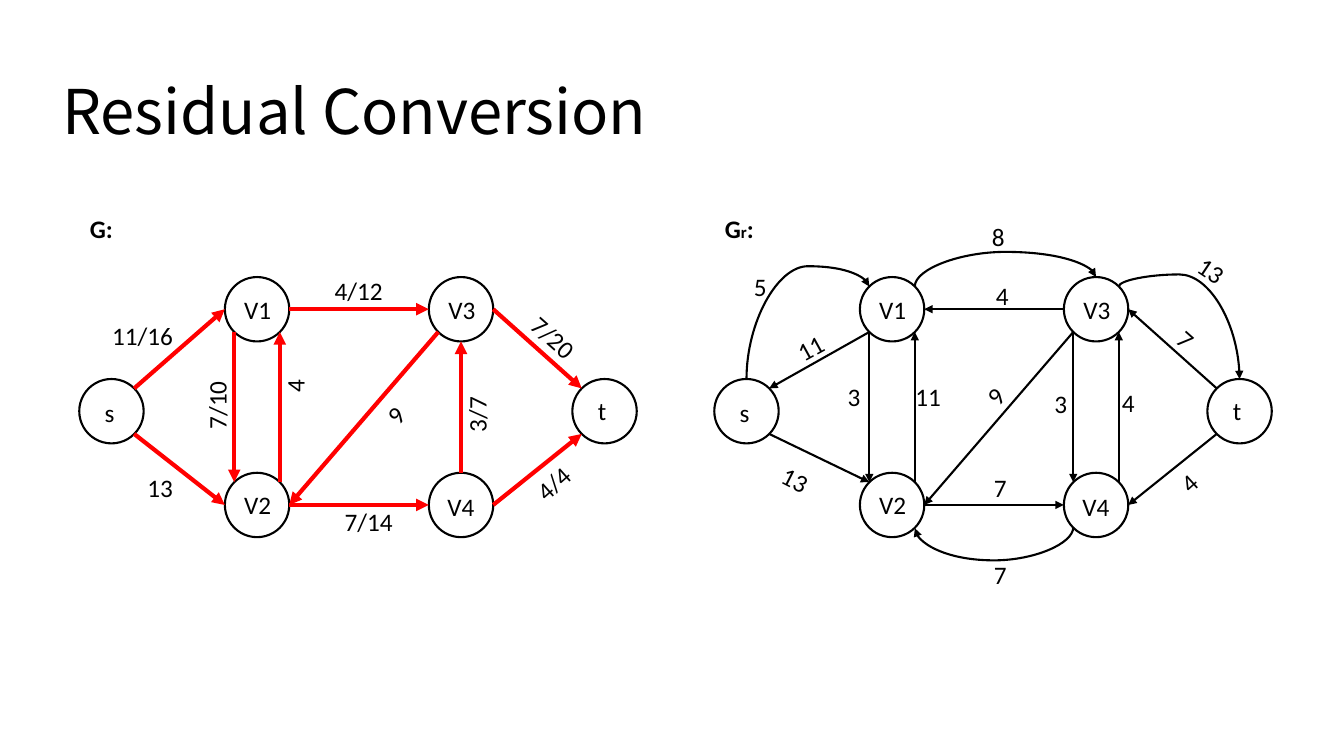
from math import sqrt
from lxml.etree import SubElement as Sub
from pptx import Presentation
from pptx.dml.color import RGBColor as RGB
from pptx.enum.shapes import MSO_CONNECTOR as Link, MSO_SHAPE as Kind
from pptx.enum.text import MSO_ANCHOR as Anchor, MSO_AUTO_SIZE as Fit
from pptx.oxml.ns import qn
from pptx.util import Pt

theme = {
    "ink": RGB(0, 0, 0), "flow": RGB(255, 0, 0),
    "head": "Noto Sans CJK SC", "body": "Calibri",
    "title": 44, "label": 18, "sub": 12,
    "thin": 1.5, "thick": 3,
}

deck = Presentation()
deck.slide_width, deck.slide_height = Pt(960), Pt(540)
slide = deck.slides.add_slide(deck.slide_layouts[6])
shapes = slide.shapes

side = 46
rad = side / 2
diag = rad / sqrt(2)
ports = {
    "n": (0, -rad), "s": (0, rad), "w": (-rad, 0), "e": (rad, 0),
    "nw": (-diag, -diag), "ne": (diag, -diag),
    "sw": (-diag, diag), "se": (diag, diag),
}
nodes = {
    "s": (79.6, 293.7, -1.2, 1.4),
    "V1": (183.6, 220.9, 0.5, 0),
    "V2": (183.6, 360.7, 0.5, 0),
    "V3": (329.3, 220.9, 0.8, 0),
    "V4": (329.3, 360.7, 0, 1.4),
    "t": (431.8, 293.7, -1.6, 0),
}
glyphs = {"/": 7, "V": 10.2, "s": 7, "t": 6, "G": 11.4, "r": 4.3, ":": 4.8}

flows = [
    ("s.ne", "V1.w", None, "11/16", 101.9, 239.8, 0),
    ("V1.e", "V3.w", None, "4/12", 256.3, 207.4, 0),
    ("V3.e", "t.nw", None, "7/20", 395.3, 241.2, 41.5),
    ("V1.sw", "V2.nw", None, "7/10", 154.8, 289.4, 270),
    ("V2.ne", "V1.se", None, "4", 210.6, 275.8, 270),
    ("V3.sw", "V2.e", None, "9", 282.6, 296.6, 311.6),
    ("s.se", "V2.w", None, "13", 114.5, 348.5, 0),
    ("V2.e", "V4.w", None, "7/14", 263.5, 373, 0),
    ("V4.n", "V3.s", None, "3/7", 340.6, 295.9, 270),
    ("V4.e", "t.sw", None, "4/4", 395.3, 344.9, 318.3),
]
rests = [
    ("s.n", "V1.nw", 190.2, "5", 89.6, 204.5, 0),
    ("V1.sw", "s.ne", None, "11", 125.3, 248.4, 331.1),
    ("V1.ne", "V3.n", 180, "8", 259.6, 169.2, 0),
    ("V3.w", "V1.e", None, "4", 262.4, 211, 0),
    ("V3.ne", "t.n", 196, "13", 411.8, 193, 33.8),
    ("t.nw", "V3.e", None, "7", 393.5, 242.6, 41.6),
    ("s.se", "V2.nw", None, "13", 114.5, 342.7, 26.8),
    ("V3.sw", "V2.e", None, "9", 257.4, 283, 310.8),
    ("V2.e", "V4.w", None, "7", 261, 348.5, 0),
    ("V4.sw", "V2.se", 401, "7", 261, 410.4, 0),
    ("t.sw", "V4.e", None, "4", 395.6, 344.9, 317.9),
    ("V3.sw", "V4.nw", None, "3", 304.2, 288, 0),
    ("V4.ne", "V3.se", None, "4", 352.4, 287.3, 0),
    ("V1.sw", "V2.nw", None, "3", 156.6, 283.7, 0),
    ("V2.ne", "V1.se", None, "11", 209.5, 283.7, 0),
]
graphs = [
    (0, [("G:", "label")], 72.4, flows, "flow", "thick"),
    (453.6, [("G", "label"), ("r", "sub"), (":", "label")], 74.5, rests, "ink", "thin"),
]


def write(x, y, runs, font="body", bold=False, turn=0, size=None):
    wide = 14.4 + sum(glyphs.get(c, 9.12) for text, _ in runs for c in text)
    w, h = size or (wide, 29.1)
    box = shapes.add_textbox(Pt(x - w / 2), Pt(y - h / 2), Pt(w), Pt(h))
    box.rotation = turn
    frame = box.text_frame
    frame.word_wrap = bool(size)
    frame.auto_size = Fit.NONE if size else Fit.SHAPE_TO_FIT_TEXT
    for text, step in runs:
        run = frame.paragraphs[0].add_run()
        run.text = text
        run.font.name = theme[font]
        run.font.size = Pt(theme[step])
        run.font.bold = bold
        run.font.color.rgb = theme["ink"]
    return frame


def spot(port, left):
    node, way = port.split(".")
    return left + nodes[node][0] + ports[way][0], nodes[node][1] + ports[way][1]


title = write(451.4, 81.7, [("Residual Conversion", "title")], "head", size=(828, 104.4))
title.vertical_anchor = Anchor.MIDDLE
title.paragraphs[0].line_spacing = 0.9

for left, name, mid, edges, tint, width in graphs:
    write(left + mid, 163.4, name, bold=True)

    for node, (x, y, dx, dy) in nodes.items():
        disc = shapes.add_shape(
            Kind.OVAL, Pt(left + x - rad), Pt(y - rad), Pt(side), Pt(side))
        disc.shadow.inherit = False
        disc.fill.background()
        disc.line.color.rgb = theme["ink"]
        disc.line.width = Pt(theme["thin"])
        write(left + x + dx, y + dy, [(node, "label")])

    for start, end, bend, text, x, y, turn in edges:
        x1, y1 = spot(start, left)
        x2, y2 = spot(end, left)
        if bend is None:
            edge = shapes.add_connector(Link.STRAIGHT, Pt(x1), Pt(y1), Pt(x2), Pt(y2))
        else:
            cx, cy = (x1 + x2) / 2, (y1 + y2) / 2
            rise = y2 - y1 if abs(y2 - y1) > 0.5 else 0.72
            run = x2 - x1
            edge = shapes.add_connector(
                Link.CURVE, Pt(cx - rise / 2), Pt(cy + run / 2),
                Pt(cx + rise / 2), Pt(cy - run / 2))
            edge.element.spPr.xfrm.set("rot", "5400000")
            geom = edge.element.spPr.find(qn("a:prstGeom"))
            part = round((bend - y1) / rise * 100000)
            Sub(geom.find(qn("a:avLst")), qn("a:gd"), name="adj1", fmla=f"val {part}")
        edge.line.color.rgb = theme[tint]
        edge.line.width = Pt(theme[width])
        Sub(edge.get_or_add_ln(), qn("a:tailEnd"), type="triangle")
        Sub(edge.element.spPr, qn("a:effectLst"))
        write(left + x, y, [(text, "label")], turn=turn)

deck.save("out.pptx")
